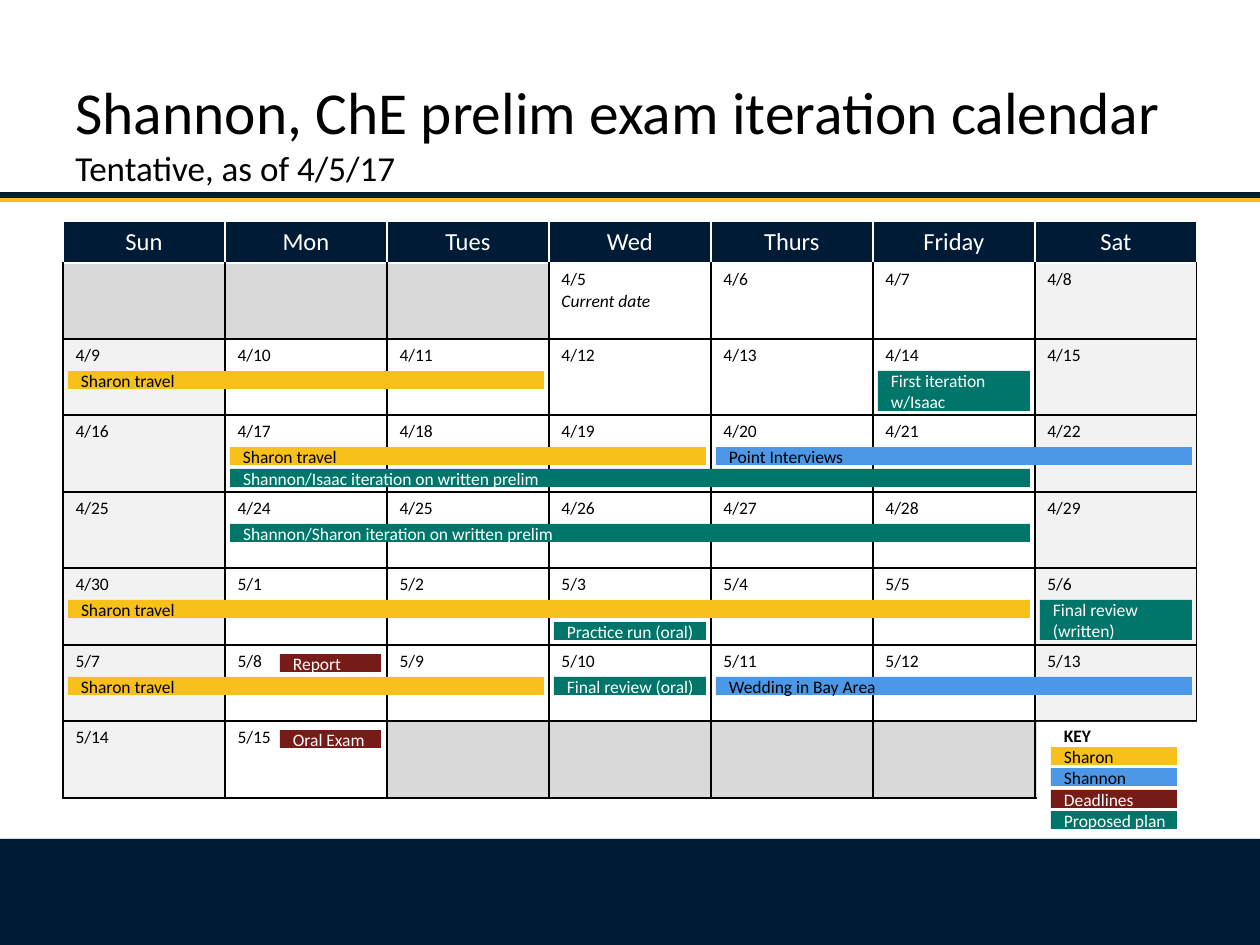
from lxml.etree import SubElement
from pptx import Presentation
from pptx.dml.color import RGBColor
from pptx.enum.shapes import MSO_CONNECTOR as Connector, MSO_SHAPE as Shape
from pptx.enum.text import MSO_ANCHOR as Anchor, PP_ALIGN as Align
from pptx.oxml.ns import qn
from pptx.util import Pt

NAVY = RGBColor(0x00, 0x1B, 0x36)
GOLD = RGBColor(0xF8, 0xC0, 0x1B)
BLUE = RGBColor(0x4C, 0x98, 0xE6)
MAROON = RGBColor(0x77, 0x1B, 0x19)
TEAL = RGBColor(0x00, 0x76, 0x6A)
BLACK = RGBColor(0x00, 0x00, 0x00)
WHITE = RGBColor(0xFF, 0xFF, 0xFF)
WEEKEND = RGBColor(0xF2, 0xF2, 0xF2)
UNUSED = RGBColor(0xD9, 0xD9, 0xD9)

FONT = "Calibri"
SLIDE_WIDTH, SLIDE_HEIGHT = 1260, 945
COLUMN, HEADER, BODY = 162, 42, 535
BAR = 18
GAP = 5
LINE_TOPS = (32, 54)  # first and second bar line inside a week

DAYS = ["Sun", "Mon", "Tues", "Wed", "Thurs", "Friday", "Sat"]
WEEKS = [
    ["", "", "", "4/5\nCurrent date", "4/6", "4/7", "4/8"],
    ["4/9", "4/10", "4/11", "4/12", "4/13", "4/14", "4/15"],
    ["4/16", "4/17", "4/18", "4/19", "4/20", "4/21", "4/22"],
    ["4/25", "4/24", "4/25", "4/26", "4/27", "4/28", "4/29"],
    ["4/30", "5/1", "5/2", "5/3", "5/4", "5/5", "5/6"],
    ["5/7", "5/8", "5/9", "5/10", "5/11", "5/12", "5/13"],
    ["5/14", "5/15", "", "", "", "", ""],
]
# text, colour, week, first day, number of days, bar line, height
EVENTS = [
    ("Sharon travel", GOLD, 1, 0, 3, 0, BAR),
    ("First iteration\nw/Isaac", TEAL, 1, 5, 1, 0, 40),
    ("Sharon travel", GOLD, 2, 1, 3, 0, BAR),
    ("Point Interviews", BLUE, 2, 4, 3, 0, BAR),
    ("Shannon/Isaac iteration on written prelim", TEAL, 2, 1, 5, 1, BAR),
    ("Shannon/Sharon iteration on written prelim", TEAL, 3, 1, 5, 0, BAR),
    ("Sharon travel", GOLD, 4, 0, 6, 0, BAR),
    ("Practice run (oral)", TEAL, 4, 3, 1, 1, BAR),
    ("Final review (written)", TEAL, 4, 6, 1, 0, 40),
    ("Sharon travel", GOLD, 5, 0, 3, 0, BAR),
    ("Final review (oral)", TEAL, 5, 3, 1, 0, BAR),
    ("Wedding in Bay Area", BLUE, 5, 4, 3, 0, BAR),
]
DEADLINES = [("Report", 5, 1), ("Oral Exam", 6, 1)]  # text, week, day
KEY = [("Sharon", GOLD), ("Shannon", BLUE), ("Deadlines", MAROON), ("Proposed plan", TEAL)]


def px(length):
    return round(length * 914400 / 126)


def box(*lengths):
    return [px(length) for length in lengths]


def write_text(frame, text, sizes=(10,), color=BLACK, bold=False,
               italic_from=None, align=Align.LEFT):
    """One paragraph per line; the last size holds for the remaining lines."""
    for index, line in enumerate(text.split("\n")):
        paragraph = frame.paragraphs[0] if index == 0 else frame.add_paragraph()
        paragraph.alignment = align
        font = paragraph.font
        if line:
            run = paragraph.add_run()
            run.text = line
            font = run.font
        font.name, font.bold = FONT, bold
        font.size = Pt(sizes[min(index, len(sizes) - 1)])
        font.color.rgb = color
        font.italic = italic_from is not None and index >= italic_from


def add_rectangle(shapes, left, top, width, height, fill):
    shape = shapes.add_shape(Shape.RECTANGLE, *box(left, top, width, height))
    shape.shadow.inherit = False
    shape.fill.solid()
    shape.fill.fore_color.rgb = fill
    shape.line.fill.background()
    return shape


def set_label(shape, text, **text_format):
    frame = shape.text_frame
    frame.word_wrap = True
    frame.vertical_anchor = Anchor.MIDDLE
    frame.margin_left = px(13)
    frame.margin_top = frame.margin_right = frame.margin_bottom = 0
    write_text(frame, text, **text_format)


def add_bar(shapes, left, top, width, height, text, fill):
    bar = add_rectangle(shapes, left, top, width, height, fill)
    set_label(bar, text, color=BLACK if fill in (GOLD, BLUE) else WHITE)


def add_rule(shapes, top, width, color):
    rule = shapes.add_connector(Connector.STRAIGHT, *box(0, top, SLIDE_WIDTH, top))
    rule.line.color.rgb = color
    rule.line.width = Pt(width)
    SubElement(rule._element.spPr, qn("a:effectLst"))


def add_frame(shapes):
    """Rules under the title and the band at the foot."""
    add_rule(shapes, 200, 2, GOLD)
    footer = add_rectangle(shapes, 0, 839, SLIDE_WIDTH, 106, NAVY)
    effects = footer._element.spPr.find(qn("a:effectLst"))
    shadow = SubElement(effects, qn("a:outerShdw"), blurRad=str(Pt(3.1)),
                        dist=str(Pt(1.8)), dir="5400000", rotWithShape="0")
    shade = SubElement(shadow, qn("a:srgbClr"), val=str(BLACK))
    SubElement(shade, qn("a:alpha"), val="35000")
    add_rule(shapes, 195, 3, NAVY)


def add_title(shapes, left, top, width, height):
    frame = shapes.add_textbox(*box(left, top, width, height)).text_frame
    frame.word_wrap = True
    frame.vertical_anchor = Anchor.BOTTOM
    write_text(frame, "Shannon, ChE prelim exam iteration calendar\nTentative, as of 4/5/17",
               sizes=(34, 20))


def set_borders(cell, color, top_color):
    properties = cell._tc.get_or_add_tcPr()
    for side in "LRTB":
        line = SubElement(properties, qn(f"a:ln{side}"), w=str(Pt(1)))
        fill = SubElement(line, qn("a:solidFill"))
        SubElement(fill, qn("a:srgbClr"), val=str(top_color if side == "T" else color))


def week_top(week):
    return HEADER + BODY * week // len(WEEKS)


def add_calendar(shapes, left, top):
    # Grid of days
    size = box(left, top, COLUMN * len(DAYS), HEADER + BODY)
    table = shapes.add_table(len(WEEKS) + 1, len(DAYS), *size).table
    table.first_row = table.horz_banding = False
    for column in table.columns:
        column.width = px(COLUMN)
    table.rows[0].height = px(HEADER)
    for week in range(len(WEEKS)):
        table.rows[week + 1].height = px(week_top(week + 1) - week_top(week))

    for day, name in enumerate(DAYS):
        cell = table.cell(0, day)
        set_borders(cell, WHITE, WHITE)
        cell.fill.solid()
        cell.fill.fore_color.rgb = NAVY
        write_text(cell.text_frame, name, sizes=(14,), color=WHITE, align=Align.CENTER)
    for week, dates in enumerate(WEEKS):
        for day, date in enumerate(dates):
            cell = table.cell(week + 1, day)
            set_borders(cell, BLACK, WHITE if week == 0 else BLACK)
            if date and day not in (0, 6):
                cell.fill.background()
            else:
                cell.fill.solid()
                cell.fill.fore_color.rgb = WEEKEND if date else UNUSED
            write_text(cell.text_frame, date, italic_from=1)

    # Key over the last day
    add_key(shapes, left + 6 * COLUMN + 2, top + week_top(6) + 1, COLUMN, 115)

    # Event bars
    for text, fill, week, day, days, line, height in EVENTS:
        add_bar(shapes, left + day * COLUMN + GAP, top + week_top(week) + LINE_TOPS[line],
                days * COLUMN - 2 * GAP, height, text, fill)
    for text, week, day in DEADLINES:
        add_bar(shapes, left + day * COLUMN + 55, top + week_top(week) + 9,
                101, BAR, text, MAROON)


def add_key(shapes, left, top, width, height):
    add_rectangle(shapes, left, top, width, height, WHITE)
    group = shapes.add_group_shape().shapes
    entry_left, entry_width = left + 14, 126
    heading = group.add_textbox(*box(entry_left, top + 4, entry_width, BAR))
    set_label(heading, "KEY", bold=True)
    for index, (text, fill) in enumerate(KEY, start=1):
        add_bar(group, entry_left, top + 4 + 64 * index // 3, entry_width, BAR, text, fill)


def main():
    presentation = Presentation()
    presentation.slide_width, presentation.slide_height = box(SLIDE_WIDTH, SLIDE_HEIGHT)
    slide = presentation.slides.add_slide(presentation.slide_layouts[6])
    add_frame(slide.shapes)
    add_title(slide.shapes, 63, 38, 1134, 157)
    add_calendar(slide.shapes, 63, 221)
    presentation.save("out.pptx")


if __name__ == "__main__":
    main()
